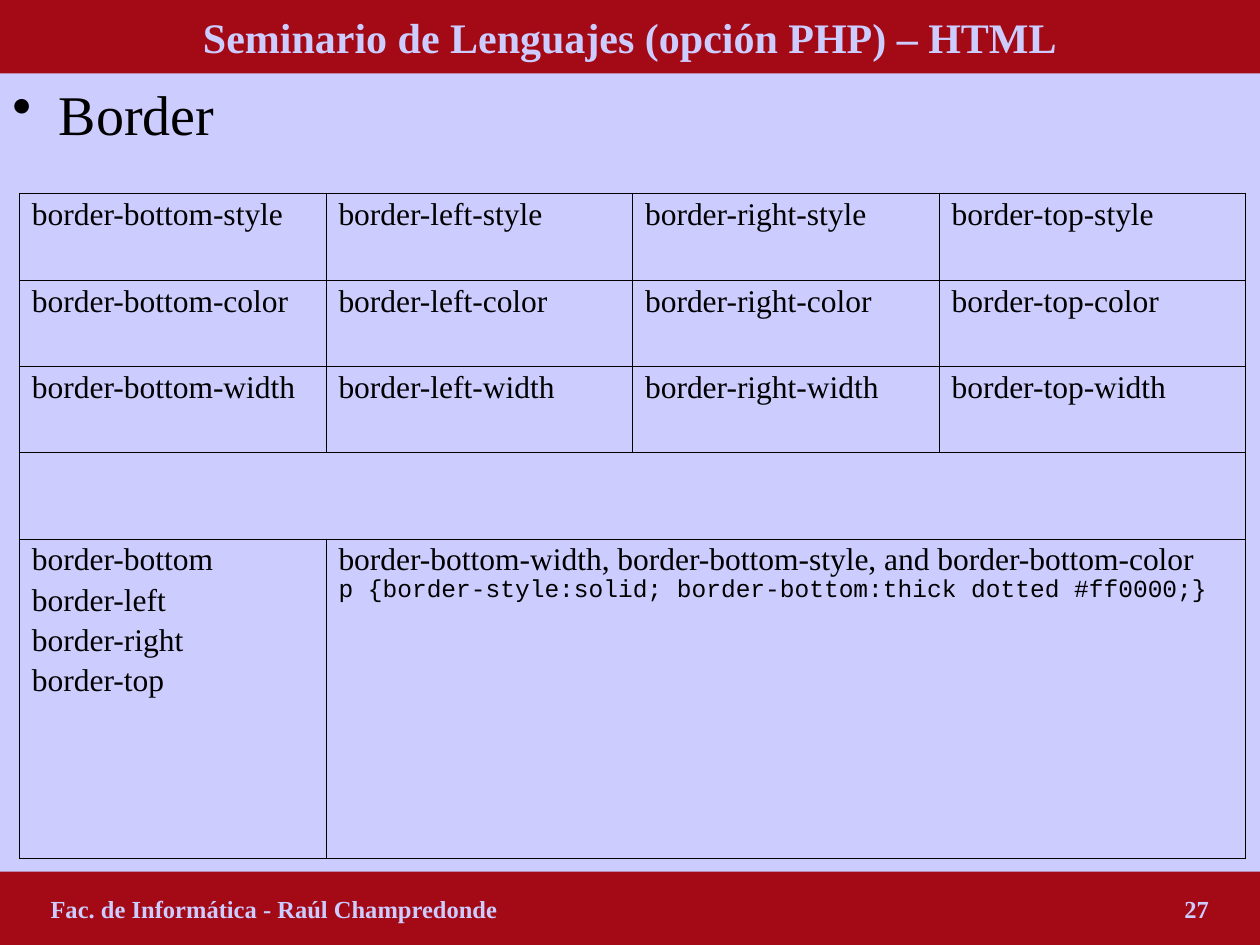
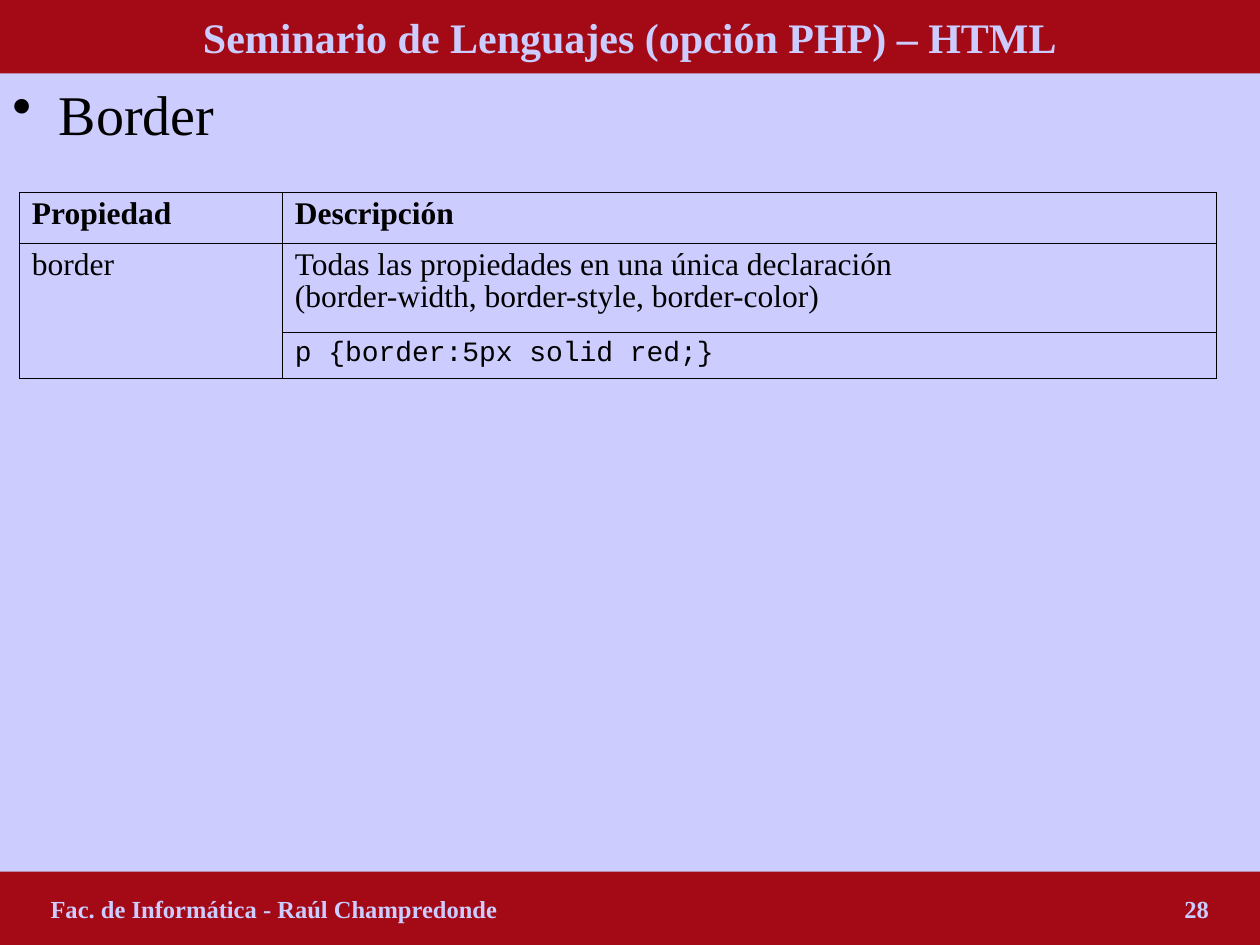
from lxml.etree import SubElement
from pptx import Presentation
from pptx.dml.color import RGBColor
from pptx.enum.shapes import MSO_SHAPE
from pptx.enum.text import MSO_ANCHOR, PP_ALIGN
from pptx.oxml import parse_xml
from pptx.oxml.ns import nsdecls, qn
from pptx.util import Cm, Pt

WIDTH, HEIGHT, BAND = 25.4, 19.05, 1.48
RED, LILAC, BLACK = "A30A16", "CCCCFF", "000000"
SERIF, MONO = "Times New Roman", "Courier New"
TITLE = "Seminario de Lenguajes (opción PHP) – HTML"
AUTHOR = "Fac. de Informática - Raúl Champredonde"
EDGE, HAIR = 0.5, 0.23


def color(code):
    return RGBColor.from_string(code)


def style(font, size, code=BLACK, face=SERIF, bold=False):
    font.name, font.size, font.bold = face, Pt(size), bold
    font.color.rgb = color(code)


def band(slide, top, text, size):
    bar = slide.shapes.add_shape(MSO_SHAPE.RECTANGLE, 0, Cm(top), Cm(WIDTH), Cm(BAND))
    bar.shadow.inherit = False
    bar.fill.solid()
    bar.fill.fore_color.rgb = color(RED)
    bar.line.fill.background()
    frame = bar.text_frame
    frame.vertical_anchor = MSO_ANCHOR.MIDDLE
    frame.text = text
    para = frame.paragraphs[0]
    para.alignment = PP_ALIGN.CENTER
    for run in para.runs:
        style(run.font, size, LILAC, bold=True)
    return frame


def footer(slide, number):
    """Author at the left, page number against a right tab stop."""
    frame = band(slide, HEIGHT - BAND, f"{AUTHOR}\t{number}", 14)
    frame.margin_left, frame.margin_right = Cm(1.02), Cm(0.5)
    para = frame.paragraphs[0]
    para.alignment = PP_ALIGN.LEFT
    tabs = SubElement(para._p.get_or_add_pPr(), qn("a:tabLst"))
    SubElement(tabs, qn("a:tab"), pos=str(Cm(23.35)), algn="r")


def topic(slide, text):
    """Bulleted heading in the area between the bands."""
    box = slide.shapes.add_textbox(0, Cm(BAND), Cm(WIDTH), Cm(HEIGHT - 2 * BAND))
    frame = box.text_frame
    frame.word_wrap = True
    frame.text = text
    para = frame.paragraphs[0]
    props = para._p.get_or_add_pPr()
    props.set("marL", str(Cm(0.94)))
    props.set("indent", str(-Cm(0.94)))
    SubElement(props, qn("a:buChar"), char="•")
    style(para.runs[0].font, 32)


def page(deck, number, text):
    slide = deck.slides.add_slide(deck.slide_layouts[6])
    slide.background.fill.solid()
    slide.background.fill.fore_color.rgb = color(LILAC)
    topic(slide, text)
    band(slide, 0, TITLE, 24)
    footer(slide, number)
    return slide


def border(cell, widths):
    """Draw the left, right, top and bottom lines, given in points."""
    props = cell._tc.get_or_add_tcPr()
    for spot, (side, width) in enumerate(zip("LRTB", widths)):
        props.insert(spot, parse_xml(
            f'<a:ln{side} {nsdecls("a")} w="{Pt(width)}"><a:solidFill>'
            f'<a:srgbClr val="{BLACK}"/></a:solidFill></a:ln{side}>'))


def write(cell, text, code, bold):
    """Fill a cell; lines that start a CSS rule are set as code."""
    cell.text_frame.text = text
    for spot, para in enumerate(cell.text_frame.paragraphs):
        para.line_spacing = 0.93
        if spot:
            para.space_before = Pt(4.5)
        for run in para.runs:
            if run.text.startswith("p {"):
                style(run.font, code, face=MONO)
            else:
                style(run.font, 18, bold=bold)


def grid(slide, top, cols, rows, texts, merges, inner, code, head=False):
    """Table with edge lines outside; inner is the width of its inside verticals."""
    table = slide.shapes.add_table(len(rows), len(cols), Cm(0.39), Cm(top),
                                   Cm(sum(cols)), Cm(sum(rows))).table
    table.first_row = head
    table.horz_banding = False
    for col, width in zip(table.columns, cols):
        col.width = Cm(width)
    for row, height in zip(table.rows, rows):
        row.height = Cm(height)
    for start, end in merges:
        table.cell(*start).merge(table.cell(*end))
    for r in range(len(rows)):
        for c in range(len(cols)):
            cell = table.cell(r, c)
            cell.fill.background()
            border(cell, (EDGE if c == 0 else inner,
                          EDGE if c == len(cols) - 1 else inner,
                          EDGE if r == 0 else HAIR,
                          EDGE if r == len(rows) - 1 else HAIR))
            if c < len(texts[r]) and texts[r][c]:
                write(cell, texts[r][c], code, head and r == 0)


def main():
    deck = Presentation()
    deck.slide_width, deck.slide_height = Cm(WIDTH), Cm(HEIGHT)

    sides = ("bottom", "left", "right", "top")
    parts = [[f"border-{side}-{trait}" for side in sides]
             for trait in ("style", "color", "width")]
    names = "\n".join(f"border-{side}" for side in sides)
    usage = ("border-bottom-width, border-bottom-style, and border-bottom-color\v"
             "p {border-style:solid; border-bottom:thick dotted #ff0000;}")
    grid(page(deck, 27, "Border"), 3.9, [6.18] * 4, [1.74] * 4 + [6.45],
         parts + [[], [names, usage]],
         [((3, 0), (3, 3)), ((4, 1), (4, 3))], EDGE, 14)

    texts = [["Propiedad", "Descripción"],
             ["border", "Todas las propiedades en una única declaración\v"
                        "(border-width, border-style, border-color)"],
             ["", "p {border:5px solid red;}"]]
    grid(page(deck, 28, "Border"), 3.88, [5.3, 18.83], [1.02, 1.79, 0.93],
         texts, [((1, 0), (2, 0))], HAIR, 16, head=True)

    deck.save("out.pptx")


if __name__ == "__main__":
    main()
